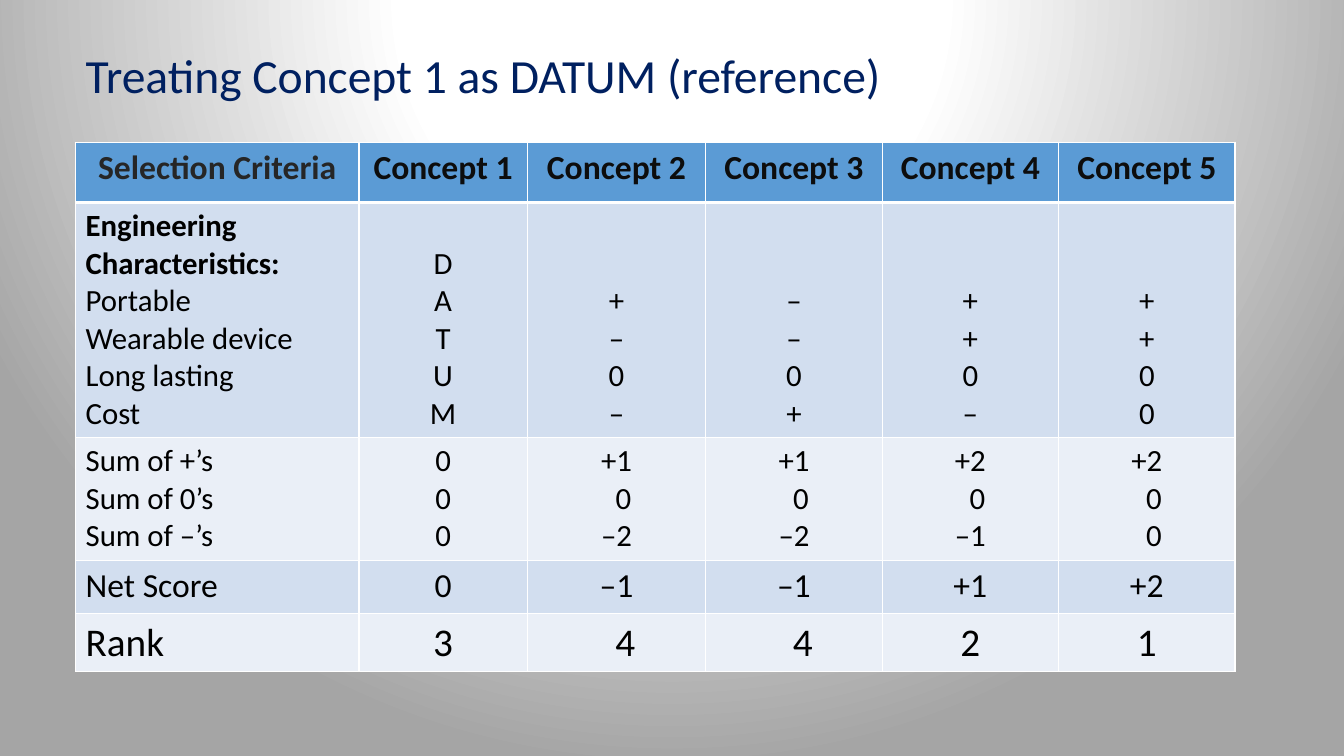
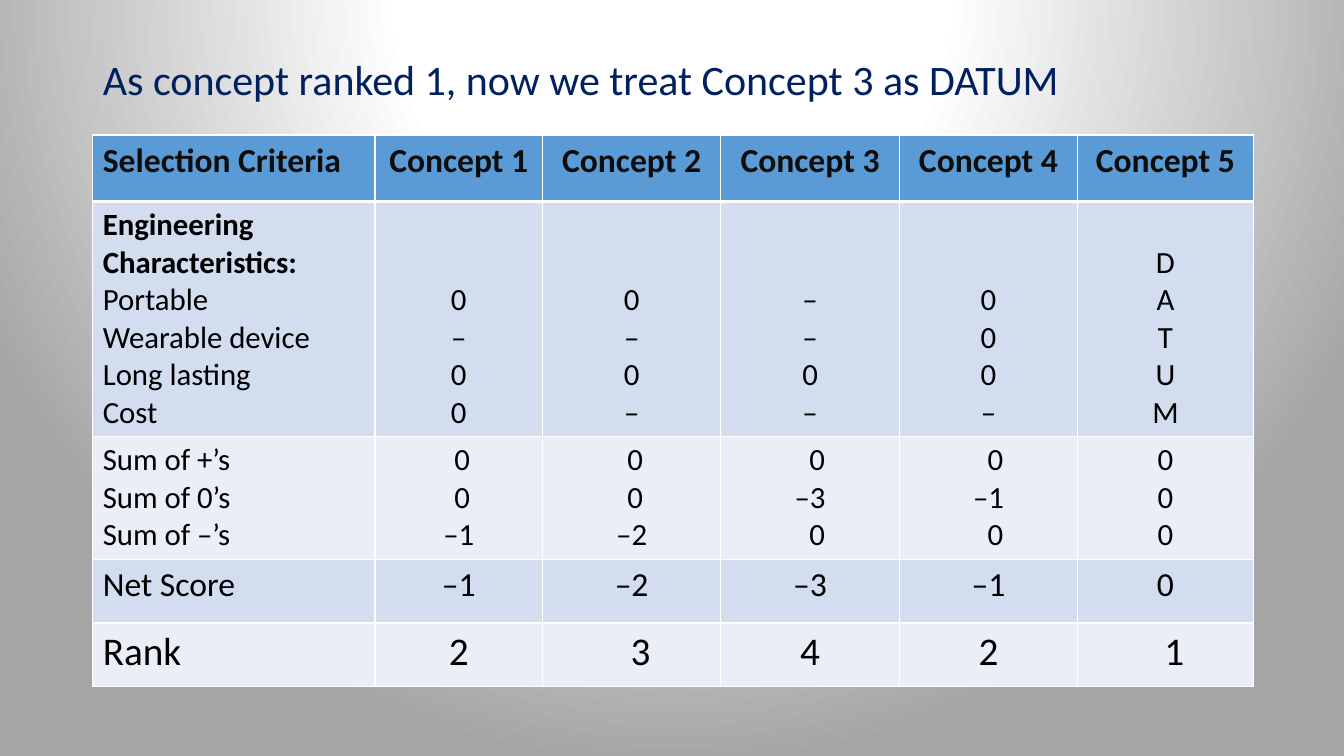
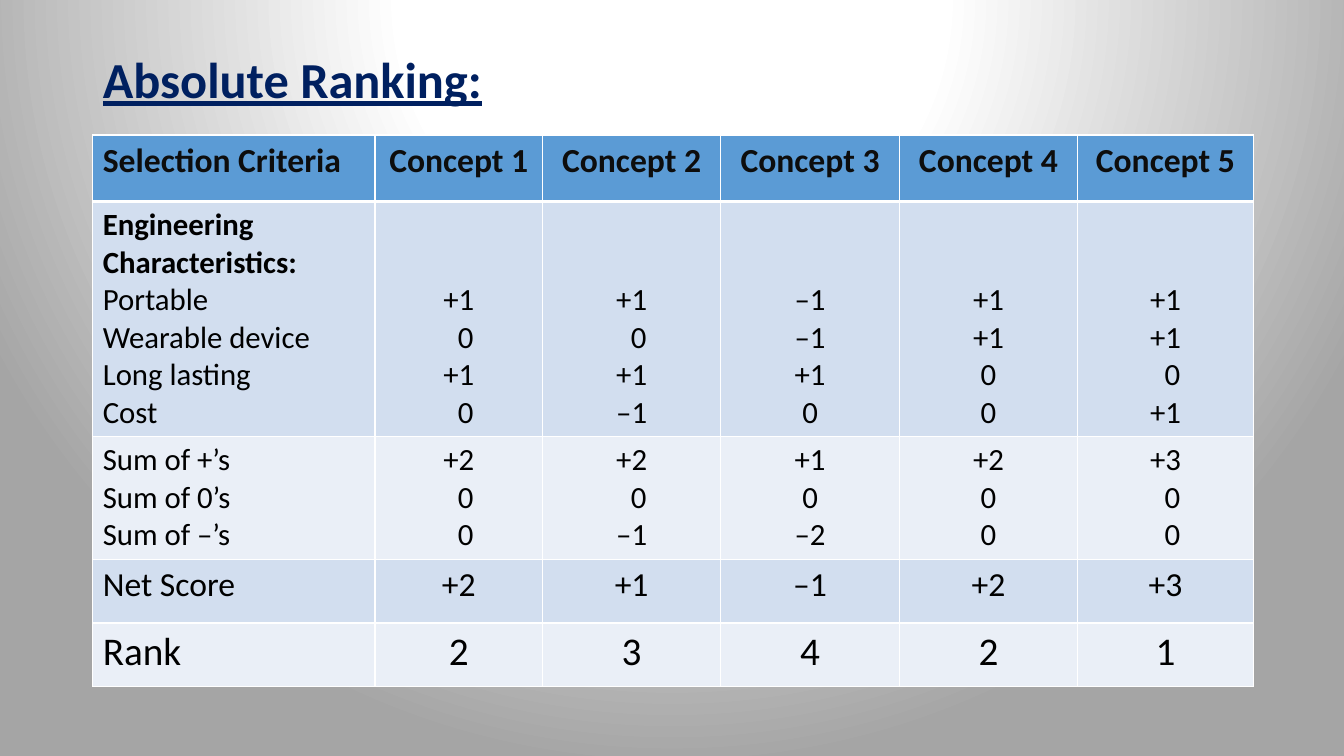
from lxml.etree import SubElement
from pptx import Presentation
from pptx.dml.color import RGBColor
from pptx.enum.text import MSO_ANCHOR, MSO_AUTO_SIZE, PP_ALIGN
from pptx.oxml import parse_xml
from pptx.oxml.ns import nsdecls, qn
from pptx.util import Inches, Pt

COLORS = {
    "navy": "002060", "header": "5B9BD5", "band_dark": "D2DEEF",
    "band_light": "EAEFF7", "white": "FFFFFF", "gray": "A5A5A5",
    "black": "000000", "ink": "0D0D0D", "soft_ink": "262626",
}
FONT = "Calibri"
SPACE_WIDTH = 0.226
SHIFT = ">"

CONCEPTS = [f"Concept {number}" for number in range(1, 6)]
CRITERIA = ["Engineering Characteristics:", "Portable", "Wearable device", "Long lasting", "Cost"]
SUMS = ["Sum of +’s", "Sum of 0’s", "Sum of –’s"]
BODY_SIZES = [22, 22, 24, 28]
ROW_FILLS = ["header", "band_dark", "band_light", "band_dark", "band_light"]

LATER_LAYOUT = {
    "title_box": (0.92, 0.4, 11.5, 0.83),
    "table_at": (0.92, 1.34),
    "columns": (2.8, 1.66, 1.77, 1.77, 1.77, 1.74),
    "rows": (0.66, 2.32, 1.22, 0.63, 0.63),
    "corner": {"color": "ink"},
}
RANKINGS = [
    {
        "title": "Treating Concept 1 as DATUM (reference)",
        "title_format": {"size": 34},
        "title_box": (0.75, 0.27, 11.5, 1),
        "table_at": (0.75, 1.41),
        "columns": (2.81, 1.67, 1.77, 1.75, 1.75, 1.75),
        "rows": (0.6, 2.32, 1.22, 0.53, 0.57),
        "corner": {"color": "soft_ink", "align": PP_ALIGN.CENTER},
        "scores": ["D A T U M", "+ – 0 –", "– – 0 +", "+ + 0 –", "+ + 0 0"],
        "sums": ["0 0 0", "+1 >>0 –2", "+1 >>0 –2", "+2 >>0 –1", "+2 >>0 >>0"],
        "net": ["0", "–1", "–1", "+1", "+2"],
        "rank": ["3", ">>4", ">>4", "2", "1"],
    },
    {
        **LATER_LAYOUT,
        "title": "As concept ranked 1, now we treat Concept 3 as DATUM",
        "title_format": {"size": 30},
        "scores": ["0 – 0 0", "0 – 0 –", "– – 0 –", "0 0 0 –", "D A T U M"],
        "sums": [">0 >0 –1", ">0 >0 –2", ">>0 –3 >>0", ">>0 –1 >>0", "0 0 0"],
        "net": ["–1", "–2", "–3", "–1", "0"],
        "rank": ["2", ">>3", "4", "2", ">>1"],
    },
    {
        **LATER_LAYOUT,
        "title": "Absolute Ranking:",
        "title_format": {"size": 36, "bold": True, "underline": True},
        "scores": ["+1 >>0 +1 >>0", "+1 >>0 +1 –1", "–1 –1 +1 0", "+1 +1 0 0", "+1 +1 >>0 +1"],
        "sums": ["+2 >>0 >>0", "+2 >>0 –1", "+1 0 –2", "+2 0 0", "+3 >>0 >>0"],
        "net": ["+2", "+1", "–1", "+2", "+3"],
        "rank": ["2", "3", "4", "2", "1"],
    },
]


def write(frame, lines, size=22, color="black", bold=False, bold_first=False,
          underline=None, align=PP_ALIGN.LEFT, spacing=None):
    for index, line in enumerate(lines):
        paragraph = frame.paragraphs[0] if index == 0 else frame.add_paragraph()
        paragraph.alignment = align
        paragraph.line_spacing = spacing
        shown = line.lstrip(SHIFT)
        shift = len(line) - len(shown)
        if shift:
            indent = Pt(shift * SPACE_WIDTH * size)
            paragraph._p.get_or_add_pPr().set("marL", str(int(indent)))
        run = paragraph.add_run()
        run.text = shown
        run.font.name = FONT
        run.font.size = Pt(size)
        run.font.bold = bold or (bold_first and index == 0)
        run.font.underline = underline
        run.font.color.rgb = RGBColor.from_string(COLORS[color])


def set_background(master):
    stops = "".join(
        f'<a:gs pos="{position}"><a:srgbClr val="{COLORS[color]}"/></a:gs>'
        for position, color in [(0, "white"), (35000, "white"), (100000, "gray")])
    content = master.element.cSld
    for old in content.findall(qn("p:bg")):
        content.remove(old)
    content.insert(0, parse_xml(
        f'<p:bg {nsdecls("p", "a")}><p:bgPr><a:gradFill rotWithShape="1">'
        f'<a:gsLst>{stops}</a:gsLst><a:path path="circle">'
        '<a:fillToRect l="50000" t="-80000" r="50000" b="180000"/></a:path>'
        '</a:gradFill><a:effectLst/></p:bgPr></p:bg>'))


def style_cell(cell, row):
    cell.fill.solid()
    cell.fill.fore_color.rgb = RGBColor.from_string(COLORS[ROW_FILLS[row]])
    widths = {"L": 1, "R": 1, "T": 3 if row == 1 else 1, "B": 3 if row == 0 else 1}
    properties = cell._tc.get_or_add_tcPr()
    for index, (side, width) in enumerate(widths.items()):
        border = SubElement(properties, qn(f"a:ln{side}"), w=str(int(Pt(width))))
        paint = SubElement(border, qn("a:solidFill"))
        SubElement(paint, qn("a:srgbClr"), val=COLORS["white"])
        properties.insert(index, border)


def add_title(slide, ranking):
    title = slide.shapes.title
    title.left, title.top, title.width, title.height = map(Inches, ranking["title_box"])
    title.text_frame.auto_size = MSO_AUTO_SIZE.NONE
    title.text_frame.vertical_anchor = MSO_ANCHOR.MIDDLE
    write(title.text_frame, [ranking["title"]], color="navy", spacing=0.9,
          **ranking["title_format"])


def add_ranking_table(slide, ranking):
    columns, rows = ranking["columns"], ranking["rows"]
    left, top = ranking["table_at"]
    table = slide.shapes.add_table(
        len(rows), len(columns), Inches(left), Inches(top),
        Inches(sum(columns)), Inches(sum(rows))).table
    for column, width in zip(table.columns, columns):
        column.width = Inches(width)
    for row, height in zip(table.rows, rows):
        row.height = Inches(height)

    labels = [["Selection Criteria"], CRITERIA, SUMS, ["Net Score"], ["Rank"]]
    values = [[[concept] for concept in CONCEPTS]]
    values += [[entry.split() for entry in ranking[part]]
               for part in ("scores", "sums", "net", "rank")]
    for row, (label, entries) in enumerate(zip(labels, values)):
        for column, lines in enumerate([label, *entries]):
            cell = table.cell(row, column)
            style_cell(cell, row)
            look = {"align": PP_ALIGN.CENTER if column else PP_ALIGN.LEFT}
            if row == 0:
                look.update(size=24, bold=True, color="ink")
                if column == 0:
                    look.update(ranking["corner"])
            else:
                look.update(size=BODY_SIZES[row - 1], bold_first=lines is CRITERIA)
            if row == 1:
                cell.vertical_anchor = MSO_ANCHOR.BOTTOM
            write(cell.text_frame, lines, **look)


def main():
    deck = Presentation()
    deck.slide_width, deck.slide_height = Inches(13.33), Inches(7.5)
    set_background(deck.slide_master)
    for ranking in RANKINGS:
        slide = deck.slides.add_slide(deck.slide_layouts[5])
        add_title(slide, ranking)
        add_ranking_table(slide, ranking)
    deck.save("out.pptx")


if __name__ == "__main__":
    main()
